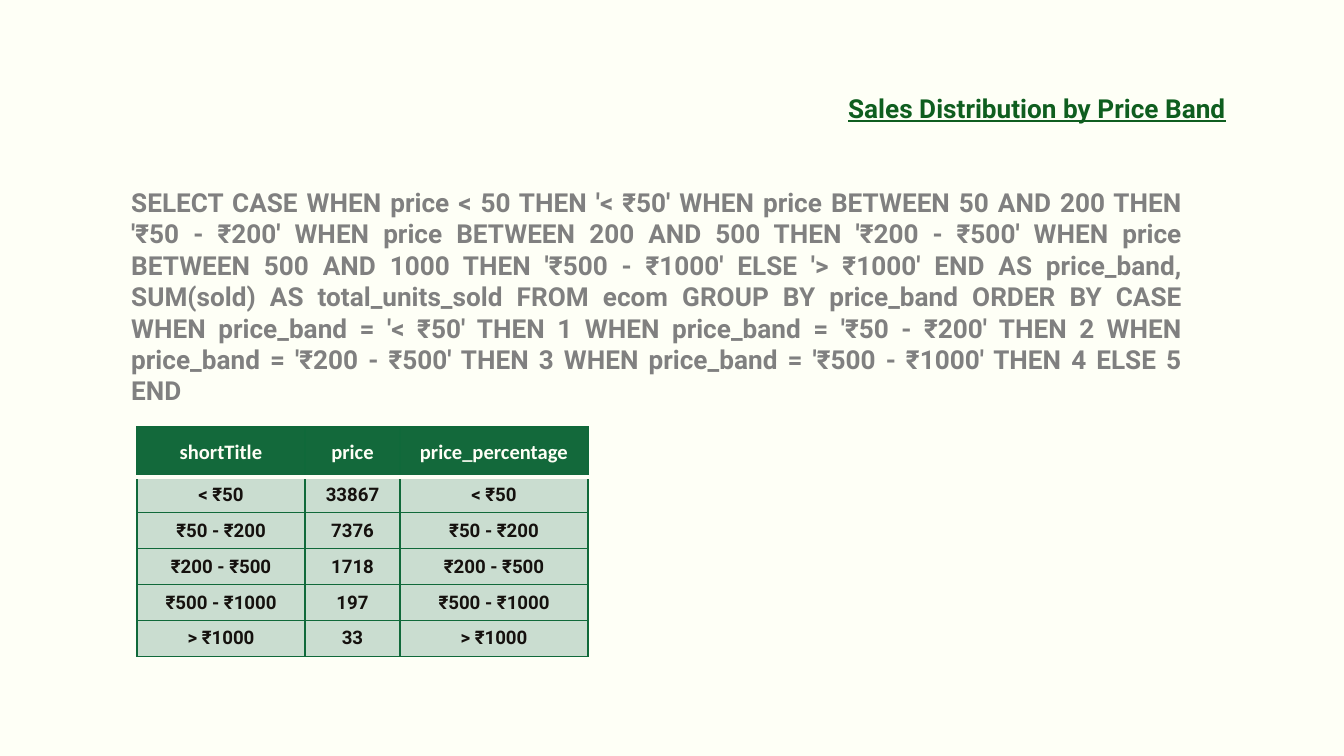
from pptx import Presentation
from pptx.dml.color import RGBColor
from pptx.enum.text import MSO_ANCHOR as ANCHOR, PP_ALIGN as ALIGN
from pptx.oxml.ns import qn
from pptx.util import Emu, Pt
from lxml.etree import SubElement

PX = 914400 / 134.4
CREAM = RGBColor(0xFE, 0xFF, 0xF6)
TITLE_GREEN = RGBColor(0x0F, 0x5E, 0x1F)
GRAY = RGBColor(0x80, 0x80, 0x80)
HEADER_GREEN = RGBColor(0x13, 0x69, 0x3B)
BORDER_GREEN = RGBColor(0x10, 0x69, 0x3A)
PALE_GREEN = RGBColor(0xCA, 0xDD, 0xD0)
INK = RGBColor(0x15, 0x11, 0x0E)

TITLE = {"name": "Roboto", "size": Pt(14), "bold": True, "underline": True}
QUERY = {"name": "Roboto", "size": Pt(14), "bold": True}
HEADER = {"name": "Calibri", "size": Pt(11), "bold": True}
BODY = {"name": "Roboto", "size": Pt(10), "bold": True}

SQL = (
    "SELECT CASE WHEN price < 50 THEN '< ₹50' "
    "WHEN price BETWEEN 50 AND 200 THEN '₹50 - ₹200' "
    "WHEN price BETWEEN 200 AND 500 THEN '₹200 - ₹500' "
    "WHEN price BETWEEN 500 AND 1000 THEN '₹500 - ₹1000' "
    "ELSE '> ₹1000' END AS price_band, SUM(sold) AS total_units_sold "
    "FROM ecom GROUP BY price_band ORDER BY CASE "
    "WHEN price_band = '< ₹50' THEN 1 "
    "WHEN price_band = '₹50 - ₹200' THEN 2 "
    "WHEN price_band = '₹200 - ₹500' THEN 3 "
    "WHEN price_band = '₹500 - ₹1000' THEN 4 ELSE 5 END"
)
HEADINGS = ("shortTitle", "price", "price_percentage")
UNITS_BY_BAND = {
    "< ₹50": 33867,
    "₹50 - ₹200": 7376,
    "₹200 - ₹500": 1718,
    "₹500 - ₹1000": 197,
    "> ₹1000": 33,
}
COLUMN_WIDTHS = (168, 95, 188)
HEADER_HEIGHT, ROW_HEIGHT = 50, 35


def px(n):
    return Emu(round(n * PX))


def set_attrs(obj, values):
    for name, value in values.items():
        setattr(obj, name, value)


def write(tf, text, font, color, align):
    p = tf.paragraphs[0]
    p.alignment = align
    r = p.add_run()
    r.text = text
    set_attrs(r.font, font)
    r.font.color.rgb = color
    return p


def add_text(slide, box, text, font, color, align):
    tf = slide.shapes.add_textbox(*map(px, box)).text_frame
    tf.word_wrap = True
    inset = Emu(91440)
    set_attrs(tf, {f"margin_{side}": inset for side in ("left", "top", "right", "bottom")})
    write(tf, text, font, color, align)


def set_borders(cell, **special):
    """Draw thin green borders, except for sides given as (color, points)."""
    tc_pr = cell._tc.get_or_add_tcPr()
    for side in "LRTB":
        color, width = special.get(side, (BORDER_GREEN, 0.75))
        ln = SubElement(tc_pr, qn(f"a:ln{side}"), w=str(Pt(width)))
        fill = SubElement(ln, qn("a:solidFill"))
        SubElement(fill, qn("a:srgbClr"), val=str(color))


def fill_cell(cell, text, font, color, background, **borders):
    set_borders(cell, **borders)
    cell.fill.solid()
    cell.fill.fore_color.rgb = background
    cell.vertical_anchor = ANCHOR.MIDDLE
    return write(cell.text_frame, text, font, color, ALIGN.CENTER)


def add_band_table(slide, left, top):
    bands = [(band, str(units), band) for band, units in UNITS_BY_BAND.items()]
    heights = [HEADER_HEIGHT] + [ROW_HEIGHT] * len(bands)
    box = (left, top, sum(COLUMN_WIDTHS), sum(heights))
    table = slide.shapes.add_table(
        len(heights), len(COLUMN_WIDTHS), *map(px, box)
    ).table
    for column, width in zip(table.columns, COLUMN_WIDTHS):
        column.width = px(width)
    for row, height in zip(table.rows, heights):
        row.height = px(height)

    rule = (CREAM, 2)
    for c, heading in enumerate(HEADINGS):
        cell = table.cell(0, c)
        p = fill_cell(cell, heading, HEADER, CREAM, HEADER_GREEN, B=rule)
        p.line_spacing = 1.07
        set_attrs(cell, {"margin_left": px(9), "margin_right": px(9),
                         "margin_top": 0, "margin_bottom": 0})
    for i, values in enumerate(bands, start=1):
        borders = {"T": rule} if i == 1 else {}
        for c, value in enumerate(values):
            fill_cell(table.cell(i, c), value, BODY, INK, PALE_GREEN, **borders)


def main():
    prs = Presentation()
    prs.slide_width, prs.slide_height = px(1344), px(756)
    slide = prs.slides.add_slide(prs.slide_layouts[6])
    slide.background.fill.solid()
    slide.background.fill.fore_color.rgb = CREAM
    add_text(slide, (672, 79, 567, 56), "Sales Distribution by Price Band",
             TITLE, TITLE_GREEN, ALIGN.RIGHT)
    add_text(slide, (118, 173, 1078, 101), SQL, QUERY, GRAY, ALIGN.JUSTIFY)
    add_band_table(slide, 137, 427)
    prs.save("out.pptx")


if __name__ == "__main__":
    main()
